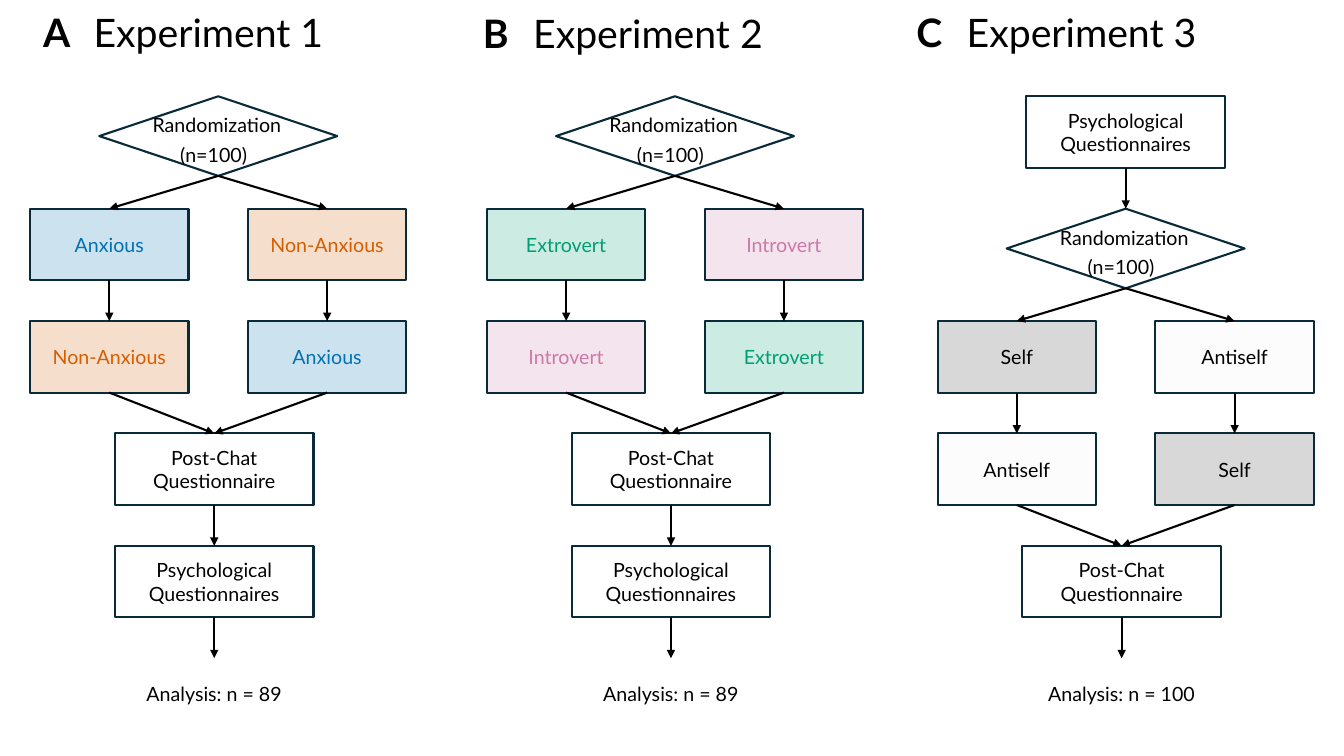
"""Build a slide of three experiment flowcharts, from randomization to analysis."""
import dataclasses
import itertools

import pptx
import pptx.dml.color
import pptx.enum.shapes
import pptx.enum.text
import pptx.oxml
import pptx.oxml.ns
import pptx.util

RANDOMIZE = "Randomization\n(n=100)"
CHAT = "Post-Chat Questionnaire"
PSYCH = "Psychological Questionnaires"

EXPERIMENTS = [
    {"letter": "A", "title": "Experiment 1", "left": 0.3, "heading": (0.33, 0.03),
     "steps": [[RANDOMIZE], ["Anxious", "Non-Anxious"], ["Non-Anxious", "Anxious"],
               [CHAT], [PSYCH], ["Analysis: n = 89"]]},
    {"letter": "B", "title": "Experiment 2", "left": 4.83, "heading": (4.69, 0.04),
     "steps": [[RANDOMIZE], ["Extrovert", "Introvert"], ["Introvert", "Extrovert"],
               [CHAT], [PSYCH], ["Analysis: n = 89"]]},
    {"letter": "C", "title": "Experiment 3", "left": 9.3, "heading": (8.99, 0.03),
     "steps": [[PSYCH], [RANDOMIZE], ["Self", "Antiself"], ["Antiself", "Self"],
               [CHAT], ["Analysis: n = 100"]]},
]


@dataclasses.dataclass(frozen=True)
class Theme:
    """Colours, font and type sizes."""
    font: str = "Lato"
    heading: int = 28
    body: int = 14
    spacer: int = 18
    stroke: float = 1.5
    ink: str = "000000"
    paper: str = "FFFFFF"
    outline: str = "092A39"
    tint: int = 20


THEME = Theme()
ARM_COLOURS = {
    "Anxious": ("0072B2", "0072B2"), "Non-Anxious": ("D55E00", "D55E00"),
    "Extrovert": ("009E73", "009E73"), "Introvert": ("CC79A7", "CC79A7"),
    "Self": ("404040", THEME.ink), "Antiself": ("F2F2F2", THEME.ink),
}

SLIDE_SIZE = (13.33, 7.5)
FIRST_ROW, ROW_PITCH, BOX_HEIGHT = 0.955, 1.115, 0.71
ARM_WIDTH, ARM_PITCH = 1.57, 2.16
STEP_WIDTH, STEP_AXIS = 1.97, 1.825
DIAMOND_SIZE, DIAMOND_AXIS = (2.36, 0.79), 1.865
LABEL_OFFSET, LABEL_SIZE = (0.43, 0.12), (1.53, 0.64)
HEADING_SIZE = (3.43, 0.57)
TOP, BOTTOM = 0, 2

SHAPES = pptx.enum.shapes.MSO_SHAPE
CENTER = pptx.enum.text.PP_ALIGN.CENTER


def inches(*lengths):
    return [pptx.util.Inches(length) for length in lengths]


def rgb(colour):
    return pptx.dml.color.RGBColor.from_string(colour)


def style(font, size, colour=THEME.ink):
    font.name, font.size = THEME.font, pptx.util.Pt(size)
    font.color.rgb = rgb(colour)


def add_label(slide, left, top, size):
    frame = slide.shapes.add_textbox(*inches(left, top, *size)).text_frame
    frame.word_wrap = False
    frame.auto_size = pptx.enum.text.MSO_AUTO_SIZE.SHAPE_TO_FIT_TEXT
    return frame


def add_heading(slide, experiment):
    heading = add_label(slide, *experiment["heading"], HEADING_SIZE).paragraphs[0]
    style(heading.font, THEME.heading)
    for words, bold in ((experiment["letter"] + "\t", True), (experiment["title"], False)):
        run = heading.add_run()
        run.text, run.font.bold = words, bold
        style(run.font, THEME.heading)


def add_outline(slide, preset, left, top, size, fill, outlined=True):
    outline = slide.shapes.add_shape(preset, *inches(left, top, *size))
    outline.shadow.inherit = False
    outline.fill.solid()
    outline.fill.fore_color.rgb = rgb(fill)
    if outlined:
        outline.line.color.rgb = rgb(THEME.outline)
        outline.line.width = pptx.util.Pt(THEME.stroke)
    else:
        outline.line.fill.background()
    return outline


def add_diamond(slide, left, top):
    diamond = add_outline(slide, SHAPES.DIAMOND, left, top, DIAMOND_SIZE, THEME.paper)
    label = add_label(slide, left + LABEL_OFFSET[0], top + LABEL_OFFSET[1], LABEL_SIZE)
    label.text = RANDOMIZE
    for line in label.paragraphs:
        style(line.font, THEME.body)
        for run in line.runs:
            style(run.font, THEME.body)
    count = label.paragraphs[1]
    count.alignment = CENTER
    spacer = count.add_run()
    spacer.text = " "
    style(spacer.font, THEME.spacer)
    return diamond


def add_box(slide, words, left, top, width):
    fill, ink = ARM_COLOURS.get(words, (THEME.paper, THEME.ink))
    box = add_outline(slide, SHAPES.RECTANGLE, left, top, (width, BOX_HEIGHT), fill,
                      outlined=not words.startswith("Analysis"))
    if words in ARM_COLOURS:
        tint = box.fill.fore_color
        colour = box._element.spPr.find(pptx.oxml.ns.qn("a:solidFill"))[0]
        alpha = pptx.oxml.parse_xml(
            f'<a:alpha {pptx.oxml.ns.nsdecls("a")} val="{THEME.tint * 1000}"/>')
        colour.append(alpha)
    frame = box.text_frame
    frame.word_wrap = True
    frame.vertical_anchor = pptx.enum.text.MSO_ANCHOR.MIDDLE
    frame.text = words
    frame.paragraphs[0].alignment = CENTER
    style(frame.paragraphs[0].font, THEME.body, ink)
    return box


def add_arrow(slide, source, target):
    arrow = slide.shapes.add_connector(pptx.enum.shapes.MSO_CONNECTOR.STRAIGHT, 0, 0, 0, 0)
    arrow.begin_connect(source, BOTTOM)
    arrow.end_connect(target, TOP)
    arrow.line.color.rgb = rgb(THEME.ink)
    arrow.line.width = pptx.util.Pt(THEME.stroke)
    namespace = pptx.oxml.ns.nsdecls("a")
    arrow.line._get_or_add_ln().append(
        pptx.oxml.parse_xml(f'<a:tailEnd {namespace} type="triangle"/>'))
    arrow._element.spPr.append(pptx.oxml.parse_xml(f"<a:effectLst {namespace}/>"))


def add_step(slide, step, row, left):
    top = FIRST_ROW + row * ROW_PITCH
    if step == [RANDOMIZE]:
        return [add_diamond(slide, left + DIAMOND_AXIS - DIAMOND_SIZE[0] / 2, top)]
    if len(step) == 2:
        return [add_box(slide, arm, left + column * ARM_PITCH, top, ARM_WIDTH)
                for column, arm in enumerate(step)]
    axis = DIAMOND_AXIS if row == 0 else STEP_AXIS
    return [add_box(slide, step[0], left + axis - STEP_WIDTH / 2, top, STEP_WIDTH)]


def add_experiment(slide, experiment):
    add_heading(slide, experiment)
    rows = [add_step(slide, step, row, experiment["left"])
            for row, step in enumerate(experiment["steps"])]
    for upper, lower in itertools.pairwise(rows):
        parallel = len(upper) == len(lower)
        pairs = zip(upper, lower) if parallel else itertools.product(upper, lower)
        for source, target in pairs:
            add_arrow(slide, source, target)


def main():
    deck = pptx.Presentation()
    deck.slide_width, deck.slide_height = inches(*SLIDE_SIZE)
    slide = deck.slides.add_slide(deck.slide_layouts[6])
    for experiment in EXPERIMENTS:
        add_experiment(slide, experiment)
    deck.save("out.pptx")


if __name__ == "__main__":
    main()
